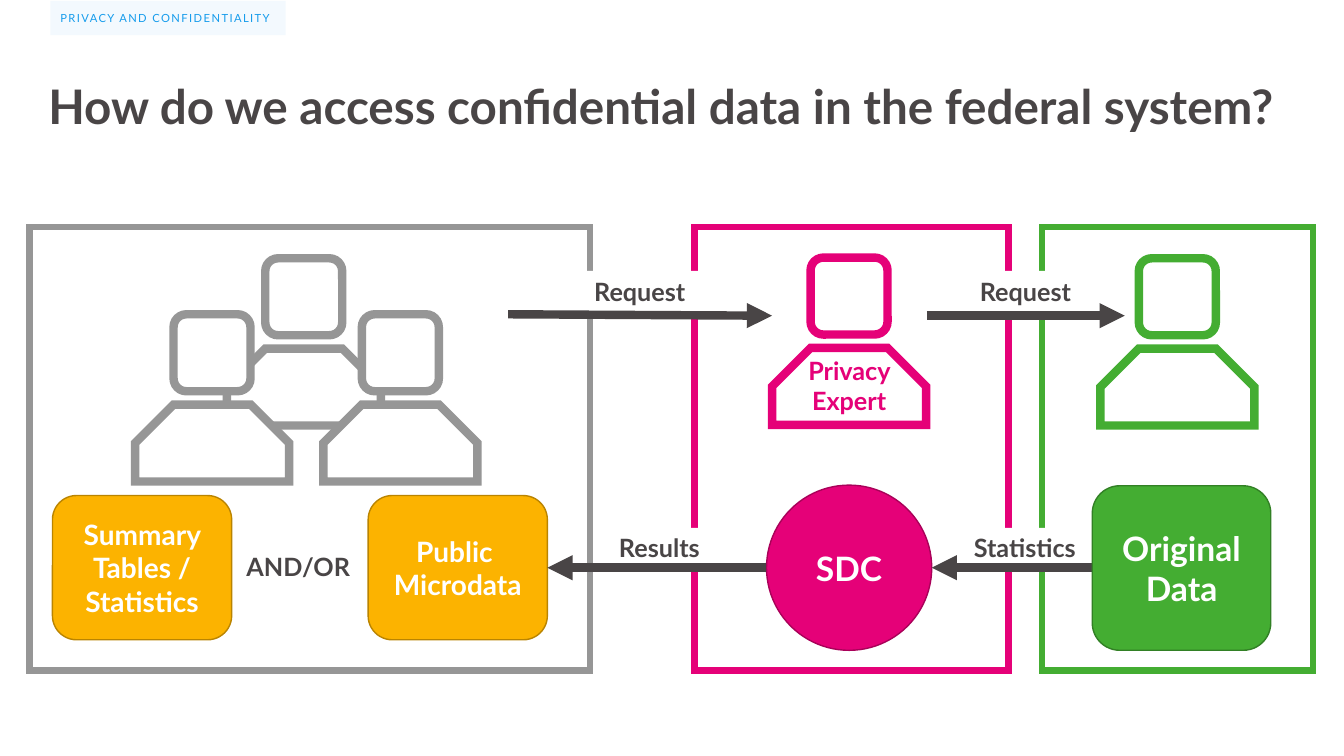
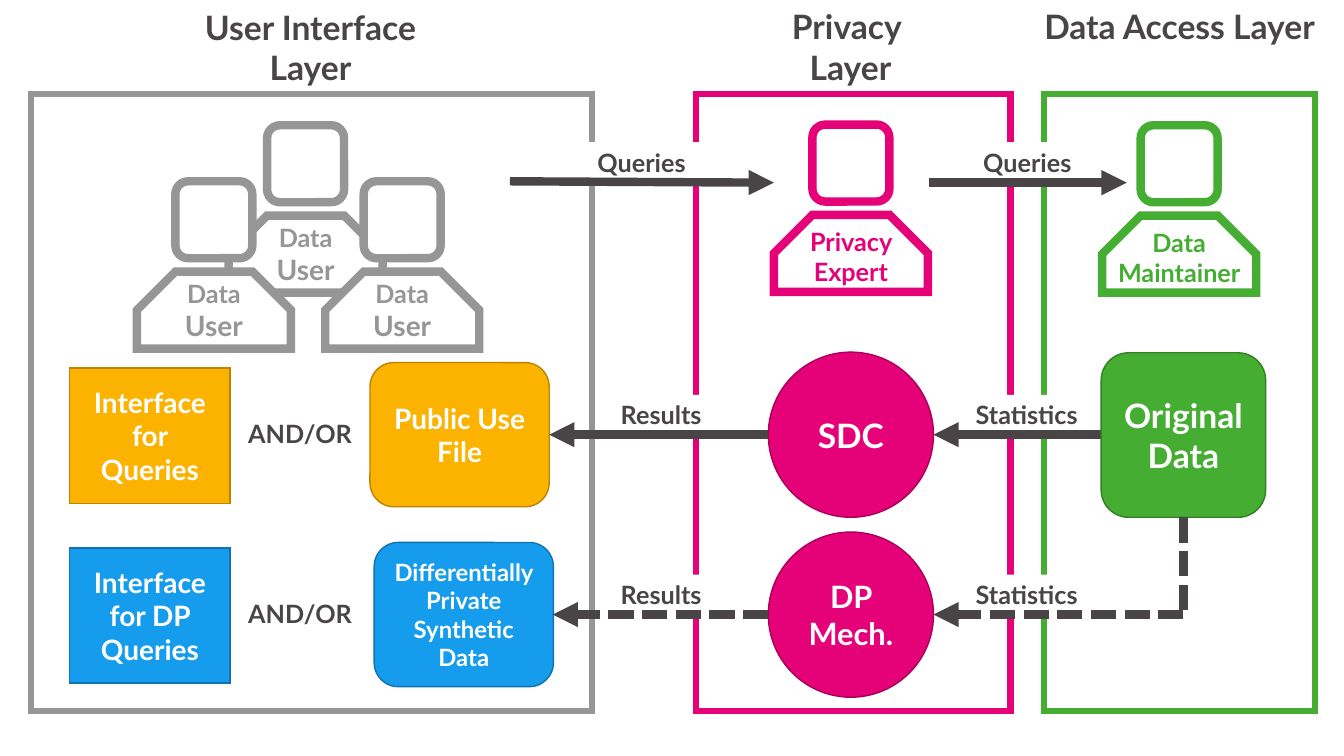
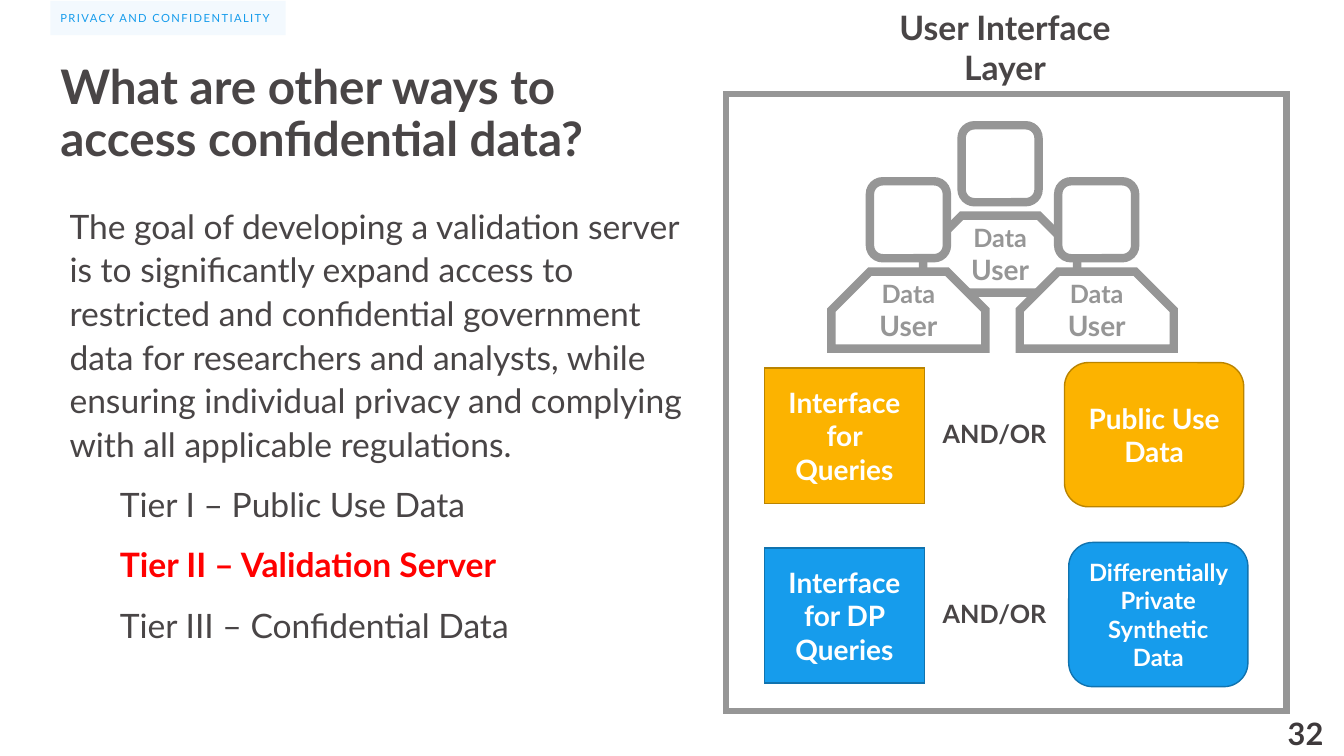
from dataclasses import dataclass

from lxml.etree import SubElement
from pptx import Presentation
from pptx.dml.color import RGBColor
from pptx.enum.dml import MSO_LINE
from pptx.enum.shapes import MSO_CONNECTOR, MSO_SHAPE
from pptx.enum.text import MSO_ANCHOR, PP_ALIGN
from pptx.oxml.ns import qn
from pptx.shapes.autoshape import Shape
from pptx.slide import Slide
from pptx.text.text import TextFrame
from pptx.util import Pt

FONT = "Lato"
INK, GREY, WHITE, RED = "494546", "969696", "FFFFFF", "FF0000"
PINK, GREEN, GOLD, BLUE = "E50178", "44AD32", "FCB300", "169CEC"
EDGE = {PINK: "A90159", GREEN: "328025", GOLD: "BA8400", BLUE: "1073AF"}

RECT, ROUND, OVAL = MSO_SHAPE.RECTANGLE, MSO_SHAPE.ROUNDED_RECTANGLE, MSO_SHAPE.OVAL
BODY = MSO_SHAPE.SNIP_2_SAME_RECTANGLE
ROW = 128.5  # distance between the two rows of data blocks
DISC = 118
DISC_X = 526.5
DISC_Y = 184.5
DATA_X = 823


@dataclass(frozen=True)
class Box:
    x: float
    y: float
    w: float
    h: float

    def spots(self) -> list[int]:
        return [Pt(v) for v in (self.x, self.y, self.w, self.h)]


@dataclass(frozen=True)
class Base:
    """A diagram's slide and the top left corner of its first panel."""
    slide: Slide
    x: float
    y: float

    def box(self, x: float, y: float, w: float, h: float) -> Box:
        return Box(self.x + x, self.y + y, w, h)


def hue(code: str) -> RGBColor:
    return RGBColor.from_string(code)


# Basic parts
def write(frame: TextFrame, text: str, size: float, color: str, bold: bool = True,
          align: PP_ALIGN = PP_ALIGN.CENTER, pitch: float | None = None) -> None:
    frame.word_wrap = True
    for i, line in enumerate(text.split("\n")):
        para = frame.add_paragraph() if i else frame.paragraphs[0]
        para.text, para.alignment, para.line_spacing = line, align, pitch
        font = para.font
        font.name, font.size, font.bold = FONT, Pt(size), bold
        font.color.rgb = hue(color)


def inset(frame: TextFrame, left: float, top: float, right: float, bottom: float) -> None:
    frame.margin_left, frame.margin_top = Pt(left), Pt(top)
    frame.margin_right, frame.margin_bottom = Pt(right), Pt(bottom)


def shape(slide: Slide, kind: MSO_SHAPE, box: Box, fill: str | None,
          line: str | None = None, width: float = 1) -> Shape:
    item = slide.shapes.add_shape(kind, *box.spots())
    item.shadow.inherit = False
    if fill:
        item.fill.solid()
        item.fill.fore_color.rgb = hue(fill)
    else:
        item.fill.background()
    if line:
        item.line.color.rgb = hue(line)
        item.line.width = Pt(width)
        SubElement(item.line._get_or_add_ln(), qn("a:miter"), lim="800000")
    else:
        item.line.fill.background()
    return item


def block(base: Base, kind: MSO_SHAPE, box: Box, fill: str, text: str, size: float) -> None:
    item = shape(base.slide, kind, box, fill, EDGE[fill])
    item.text_frame.vertical_anchor = MSO_ANCHOR.MIDDLE
    write(item.text_frame, text, size, WHITE)


def words(slide: Slide, box: Box, text: str, size: float, color: str = INK,
          **style) -> TextFrame:
    frame = slide.shapes.add_textbox(*box.spots()).text_frame
    write(frame, text, size, color, **style)
    return frame


def label(base: Base, x: float, y: float, w: float, text: str) -> None:
    item = shape(base.slide, RECT, base.box(x, y, w, 29), WHITE)
    item.text_frame.vertical_anchor = MSO_ANCHOR.TOP
    write(item.text_frame, text, 18, INK)


def arrow(base: Base, x1: float, y1: float, x2: float, y2: float,
          dash: bool = False, head: bool = True) -> None:
    ends = [Pt(v) for v in (base.x + x1, base.y + y1, base.x + x2, base.y + y2)]
    link = base.slide.shapes.add_connector(MSO_CONNECTOR.STRAIGHT, *ends)
    link.line.color.rgb = hue(INK)
    link.line.width = Pt(6)
    if dash:
        link.line.dash_style = MSO_LINE.SQUARE_DOT
    if head:
        SubElement(link.line._get_or_add_ln(), qn("a:tailEnd"), type="triangle")
    SubElement(link._element.spPr, qn("a:effectLst"))


# Parts of the diagram
def panel(base: Base, x: float, w: float, h: float, color: str) -> None:
    shape(base.slide, RECT, base.box(x, 0, w, h), None, color, 4.5)


def person(base: Base, mid: float, top: float, color: str, text: str = "",
           drop: float = 0) -> TextFrame | None:
    shape(base.slide, ROUND, base.box(mid - 27.5, top, 55, 55), WHITE, color, 6)
    torso = shape(base.slide, BODY, base.box(mid - 55, top + 64.5, 110, 55),
                  WHITE, color, 6)
    torso.adjustments[0], torso.adjustments[1] = 0.5, 0
    if not text:
        return None
    return words(base.slide, base.box(mid - 59, top + 66 + drop, 118, 52), text, 18, color)


def users(base: Base, h: float, text: str = "") -> None:
    for mid, top in ((196, 22.5), (265, 62.5), (130.5, 62.5)):
        frame = person(base, mid, top, GREY, text)
        if frame:
            frame.paragraphs[1].font.size = Pt(20)
    panel(base, 0, 400.5, h, GREY)


def choice(base: Base, y: float) -> None:
    words(base.slide, base.box(133, 228 + y, 118, 29), "AND/OR", 18)


def store(base: Base, x: float, y: float, fill: str, text: str, size: float = 20) -> None:
    block(base, ROUND, base.box(x, 192 + y, 128, 103), fill, text, size)


def access(base: Base, public: str) -> None:
    """The user interface layer with its public and private rows."""
    users(base, 441, "Data\nUser")
    words(base.slide, base.box(29.5, -65.5, 340, 65.5), "User Interface\nLayer", 24)
    rows = ((0, GOLD, "Interface for Queries", 242, public, 20),
            (ROW, BLUE, "Interface for DP Queries", 245,
             "Differentially Private Synthetic Data", 17))
    for y, fill, query, x, data, size in rows:
        block(base, RECT, base.box(27.5, 196 + y, 114.5, 96.5), fill, query, 20)
        choice(base, y)
        store(base, x, y, fill, data, size)


def flow(base: Base, y: float, text: str, size: float, start: float, end: float,
         dash: bool = False) -> None:
    """A row from the original data through a privacy disc to the users."""
    top = DISC_Y + y
    block(base, OVAL, base.box(DISC_X, top, DISC, DISC), PINK, text, size)
    label(base, 406, top + 30.5, 88, "Results")
    label(base, 664.5, top + 30.5, 93, "Statistics")
    arrow(base, DISC_X, top + 59, end, top + 59, dash)
    arrow(base, start, top + 59, DISC_X + DISC, top + 59, dash)


def guard(base: Base, h: float, ask: str, keeper: str, wide: float, drop: float) -> None:
    """The privacy and data layers, with requests going in and results out."""
    panel(base, 475, 224.5, h, PINK)
    panel(base, 723.5, 193.5, h, GREEN)
    person(base, 585.5, 22, PINK, "Privacy Expert", drop)
    person(base, 820, 22.5, GREEN, keeper, drop)
    for x in (392, 667.5):
        label(base, x, 31.5 + drop, 88, ask)
    arrow(base, 342, 62.5, 530.5, 63.5)
    arrow(base, 641, 63.5, 782.5, 63.5)
    left = DATA_X - wide / 2
    flow(base, 0, "SDC", 24, left, 370)
    block(base, ROUND, base.box(left, DISC_Y + 0.5, wide, 117.5), GREEN,
          "Original Data", 24)


# Parts of the page
def tag(slide: Slide) -> None:
    item = shape(slide, RECT, Box(36, 0.7, 168, 24.5), BLUE)
    tint = item._element.spPr.find(qn("a:solidFill"))[0]
    SubElement(tint, qn("a:alpha"), val="5000")
    frame = item.text_frame
    frame.vertical_anchor = MSO_ANCHOR.MIDDLE
    inset(frame, 7.2, 7.2, 7.2, 7.2)
    write(frame, "PRIVACY AND CONFIDENTIALITY", 8, BLUE, False, PP_ALIGN.LEFT)
    frame.word_wrap = False
    frame.paragraphs[0].runs[0].font._element.set("spc", "100")


def title(slide: Slide, box: Box, text: str, side: float) -> None:
    frame = words(slide, box, text, 34, align=PP_ALIGN.LEFT, pitch=0.9)
    inset(frame, side, 3.6, side, 3.6)


# Slides
def today(slide: Slide) -> None:
    title(slide, Box(34.5, 56, 888, 52),
          "How do we access confidential data in the federal system?", 0)
    tag(slide)
    base = Base(slide, 21, 162)
    users(base, 317)
    store(base, 16.5, 0, GOLD, "Summary Tables /\nStatistics")
    choice(base, 0)
    store(base, 242, 0, GOLD, "Public \nMicrodata")
    guard(base, 317, "Request", "", 127.5, 0)


def layers(slide: Slide) -> None:
    base = Base(slide, 22.3, 67)
    access(base, "Public Use File")
    for x, text in ((481.5, "Privacy \nLayer"), (716.5, "Data Access Layer")):
        words(slide, base.box(x, -66, 207.5, 66), text, 24)
    guard(base, 441, "Queries", "Data\nMaintainer", 117.5, 3)
    flow(base, ROW, "DP Mech.", 22, DATA_X, 372.5, True)
    arrow(base, DATA_X, DISC_Y + DISC, DATA_X, DISC_Y + ROW + 59, True, False)


def tiers(slide: Slide) -> None:
    tag(slide)
    text = ("The goal of developing a validation server is to significantly expand "
            "access to restricted and confidential government data for researchers "
            "and analysts, while ensuring individual privacy and complying with all "
            "applicable regulations.\nTier I – Public Use Data\n"
            "Tier II – Validation Server\nTier III – Confidential Data")
    frame = words(slide, Box(49.7, 144.7, 438, 362), text, 24, bold=False,
                  align=PP_ALIGN.LEFT, pitch=1.08)
    inset(frame, 0, 0, 0, 7.2)
    for para in frame.paragraphs:
        para.space_after = Pt(12)
    for para in frame.paragraphs[1:]:
        para.level = 1
        props = para._p.get_or_add_pPr()
        props.set("marL", str(Pt(36)))
        props.set("indent", "0")
    server = frame.paragraphs[2].font
    server.bold, server.color.rgb = True, hue(RED)
    title(slide, Box(36, 41.8, 888, 35.3),
          "What are other ways to\naccess confidential data?", 7.2)
    access(Base(slide, 518.4, 67), "Public Use Data")
    page = words(slide, Box(918.7, 508.3, 26.6, 31.7), "32", 22, "3E393B",
                 align=PP_ALIGN.RIGHT, pitch=1.08)
    inset(page, 0, 0, 0, 7.2)


def main() -> None:
    deck = Presentation()
    deck.slide_width, deck.slide_height = Pt(960), Pt(540)
    for draw in (today, layers, tiers):
        draw(deck.slides.add_slide(deck.slide_layouts[6]))
    deck.save("out.pptx")


if __name__ == "__main__":
    main()
